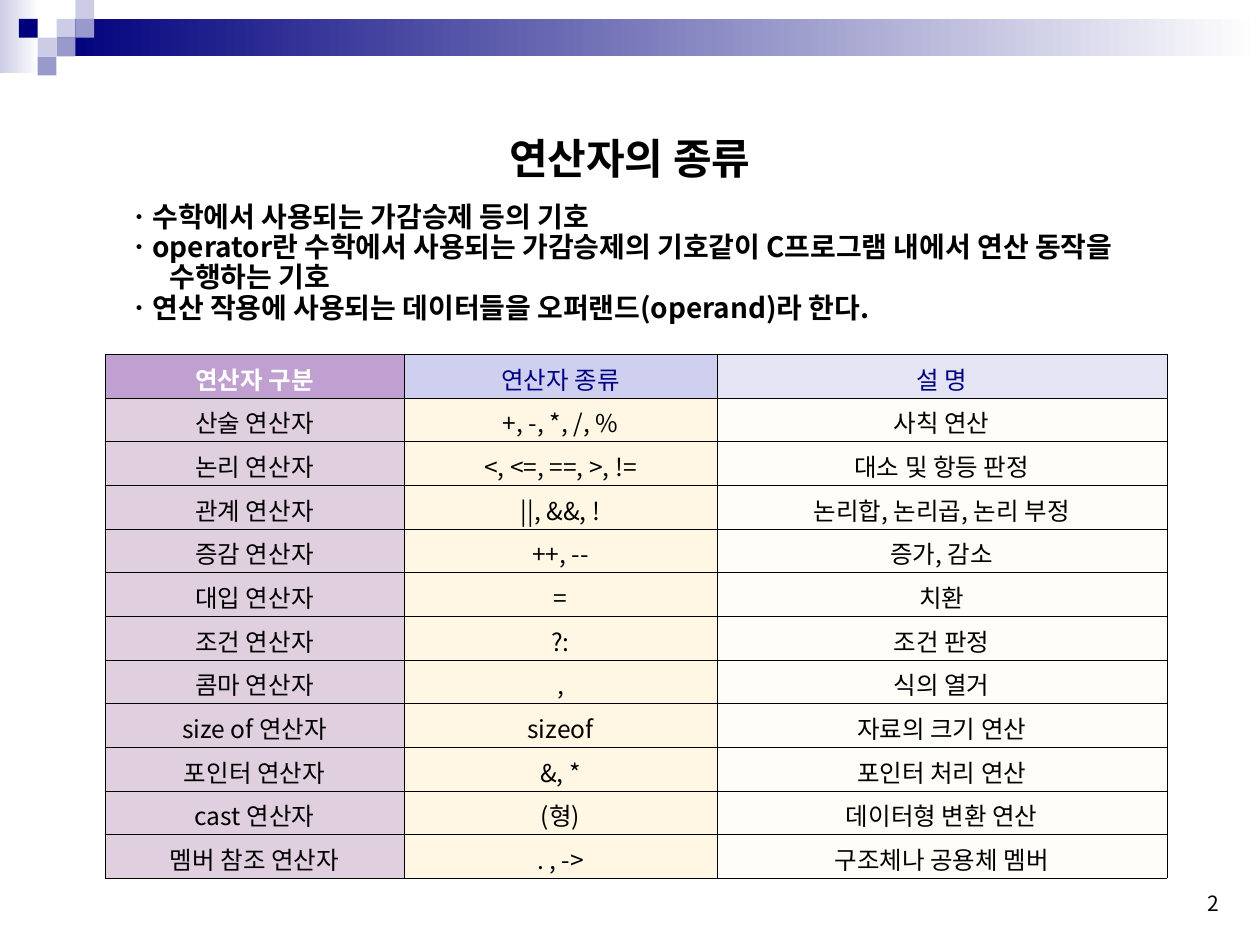
from dataclasses import dataclass

from lxml import etree
from pptx import Presentation
from pptx import util as u
from pptx.dml.color import RGBColor
from pptx.enum import shapes, text
from pptx.oxml import ns

FONT = "Noto Sans CJK KR"
COLORS = {
    "navy": "00007D", "lavender": "CCCCE6", "periwinkle": "9999CC",
    "white": "FFFFFF", "black": "000000", "header_navy": "000080",
}
GRID = 0.38
COLUMN_WIDTHS = (6.04, 6.3, 9.07)
ROW_HEIGHT = 0.88
HEADER_FILLS = ("BFA0D0", "CFCFEF", "E4E4F5")
BODY_FILLS = ("E0CFDF", "FFF7E3", "FFFDF7")
DEFINITIONS = (
    " ㆍ수학에서 사용되는 가감승제 등의 기호",
    " ㆍoperator란 수학에서 사용되는 가감승제의 기호같이 C프로그램 내에서 연산 동작을 수행하는 기호",
    " ㆍ연산 작용에 사용되는 데이터들을 오퍼랜드(operand)라 한다.",
)
OPERATORS = (
    ("연산자 구분", "연산자 종류", "설 명"),
    ("산술 연산자", "+, -, *, /, %", "사칙 연산"),
    ("논리 연산자", "<, <=, ==, >, !=", "대소 및 항등 판정"),
    ("관계 연산자", "||, &&, !", "논리합, 논리곱, 논리 부정"),
    ("증감 연산자", "++, --", "증가, 감소"),
    ("대입 연산자", "=", "치환"),
    ("조건 연산자", "?:", "조건 판정"),
    ("콤마 연산자", ",", "식의 열거"),
    ("size of 연산자", "sizeof", "자료의 크기 연산"),
    ("포인터 연산자", "&, *", "포인터 처리 연산"),
    ("cast 연산자", "(형)", "데이터형 변환 연산"),
    ("멤버 참조 연산자", ". , ->", "구조체나 공용체 멤버"),
)


@dataclass(frozen=True)
class Bar:
    """A banner rectangle in centimetres, with one colour or a gradient."""
    left: float
    top: float
    width: float
    height: float
    colors: tuple[str, ...]


@dataclass(frozen=True)
class TextBox:
    """A text box in centimetres with its lines and formatting."""
    left: float
    top: float
    width: float
    height: float
    lines: tuple[str, ...]
    size: int
    bold: bool
    align: text.PP_ALIGN
    anchor: text.MSO_ANCHOR
    wrap: bool = True
    hanging: float = 0
    line_points: float = 0


def square(column: int, row: int, color: str) -> Bar:
    """Return a banner square at a grid position."""
    return Bar(column * GRID, row * GRID, GRID, GRID, (color,))


BARS = (
    Bar(0, 0, 0.79, 1.47, ("lavender", "white")),
    Bar(1.14, 0.38, 24.26, 0.76, ("navy", "white")),
    square(3, 1, "lavender"),
    square(4, 0, "lavender"),
    square(4, 1, "periwinkle"),
    square(2, 2, "lavender"),
    square(1, 1, "navy"),
    square(3, 2, "periwinkle"),
    square(2, 3, "periwinkle"),
)
TEXT_BOXES = (
    TextBox(18.9, 17.32, 5.92, 1.27, ("2",), 12, False,
            text.PP_ALIGN.RIGHT, text.MSO_ANCHOR.BOTTOM),
    TextBox(6.35, 2.13, 12.5, 2.11, (" 연산자의 종류",), 24, True,
            text.PP_ALIGN.CENTER, text.MSO_ANCHOR.MIDDLE, wrap=False),
    TextBox(2.18, 3.96, 20.75, 2.69, DEFINITIONS, 16, True,
            text.PP_ALIGN.LEFT, text.MSO_ANCHOR.TOP, hanging=0.99, line_points=17.3),
)


def rgb(color: str) -> RGBColor:
    """Look up a named colour or read a hex string."""
    return RGBColor.from_string(COLORS.get(color, color))


def format_paragraph(paragraph, size: int, color: str, bold: bool, align) -> None:
    """Align a paragraph and format its runs for Latin and Korean text."""
    paragraph.alignment = align
    for run in paragraph.runs:
        run.font.size = u.Pt(size)
        run.font.bold = bold
        run.font.color.rgb = rgb(color)
        run.font.name = FONT
        properties = run.font._element
        east_asian = etree.Element(ns.qn("a:ea"), typeface=FONT)
        properties.find(ns.qn("a:latin")).addnext(east_asian)


def draw_bar(slide, bar: Bar) -> None:
    """Draw one banner rectangle."""
    shape = slide.shapes.add_shape(
        shapes.MSO_SHAPE.RECTANGLE,
        u.Cm(bar.left), u.Cm(bar.top), u.Cm(bar.width), u.Cm(bar.height))
    shape.shadow.inherit = False
    shape.line.fill.background()
    if len(bar.colors) == 1:
        shape.fill.solid()
        shape.fill.fore_color.rgb = rgb(bar.colors[0])
        return
    shape.fill.gradient()
    shape.fill.gradient_angle = 0
    for stop, color in zip(shape.fill.gradient_stops, bar.colors):
        stop.color.rgb = rgb(color)


def draw_text_box(slide, box: TextBox) -> None:
    """Draw one text box."""
    shape = slide.shapes.add_textbox(
        u.Cm(box.left), u.Cm(box.top), u.Cm(box.width), u.Cm(box.height))
    frame = shape.text_frame
    frame.word_wrap = box.wrap
    frame.vertical_anchor = box.anchor
    frame.text = "\n".join(box.lines)
    for paragraph in frame.paragraphs:
        format_paragraph(paragraph, box.size, "black", box.bold, box.align)
        if box.line_points:
            paragraph.line_spacing = u.Pt(box.line_points)
        if box.hanging:
            properties = paragraph._p.get_or_add_pPr()
            properties.set("marL", str(u.Cm(box.hanging)))
            properties.set("indent", str(-u.Cm(box.hanging)))


def add_borders(cell) -> None:
    """Give a cell hairline borders on all four sides."""
    properties = cell._tc.get_or_add_tcPr()
    for index, side in enumerate(("lnL", "lnR", "lnT", "lnB")):
        line = etree.Element(ns.qn(f"a:{side}"), w=str(u.Pt(0.06)))
        fill = etree.SubElement(line, ns.qn("a:solidFill"))
        etree.SubElement(fill, ns.qn("a:srgbClr"), val=COLORS["black"])
        properties.insert(index, line)


def draw_operator_table(slide) -> None:
    """Draw the table of operator kinds."""
    frame = slide.shapes.add_table(
        len(OPERATORS), len(COLUMN_WIDTHS), u.Cm(2.11), u.Cm(7.14),
        u.Cm(sum(COLUMN_WIDTHS)), u.Cm(ROW_HEIGHT * len(OPERATORS)))
    table = frame.table
    table.first_row = table.horz_banding = False
    for column, width in zip(table.columns, COLUMN_WIDTHS):
        column.width = u.Cm(width)
    for row_index, labels in enumerate(OPERATORS):
        table.rows[row_index].height = u.Cm(ROW_HEIGHT)
        is_header = row_index == 0
        fills = HEADER_FILLS if is_header else BODY_FILLS
        for column_index, (label, fill) in enumerate(zip(labels, fills)):
            cell = table.cell(row_index, column_index)
            cell.text_frame.text = label
            cell.vertical_anchor = text.MSO_ANCHOR.MIDDLE
            cell.margin_top, cell.margin_bottom = u.Cm(0.1), u.Cm(0)
            cell.fill.solid()
            cell.fill.fore_color.rgb = rgb(fill)
            add_borders(cell)
            is_corner = is_header and column_index == 0
            color = "white" if is_corner else "header_navy" if is_header else "black"
            format_paragraph(cell.text_frame.paragraphs[0], 14, color,
                             is_corner, text.PP_ALIGN.CENTER)


def main() -> None:
    """Build and save the operator slide."""
    presentation = Presentation()
    presentation.slide_width, presentation.slide_height = u.Cm(25.4), u.Cm(19.05)
    slide = presentation.slides.add_slide(presentation.slide_layouts[6])
    for bar in BARS:
        draw_bar(slide, bar)
    for box in TEXT_BOXES:
        draw_text_box(slide, box)
    draw_operator_table(slide)
    presentation.save("out.pptx")


if __name__ == "__main__":
    main()
